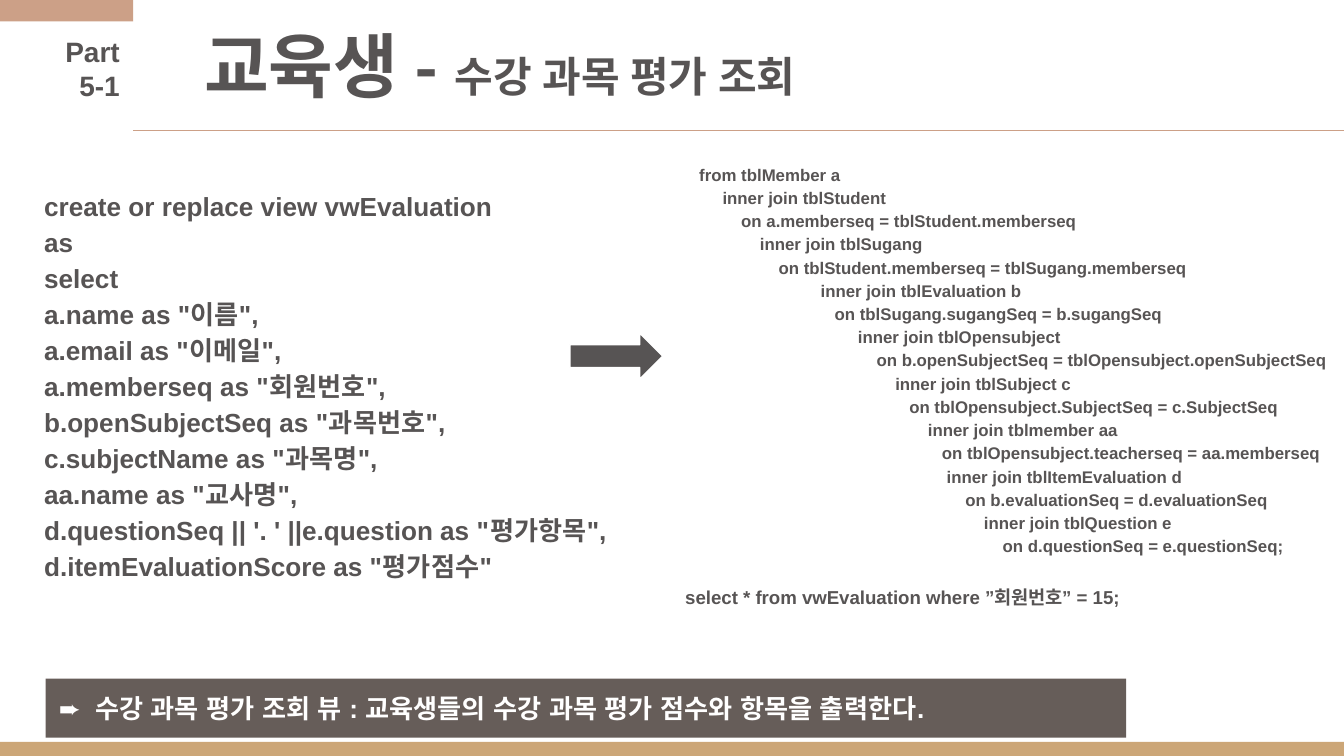
from lxml.etree import SubElement
from pptx import Presentation
from pptx.dml.color import RGBColor
from pptx.enum.shapes import MSO_CONNECTOR, MSO_SHAPE
from pptx.enum.text import MSO_ANCHOR, PP_ALIGN
from pptx.oxml.ns import qn
from pptx.util import Inches, Pt

INK, WHITE, ROSE, GOLD, BROWN = "575454", "FFFFFF", "CCA087", "CCA677", "665D59"

TITLE = [("교육생", 37.7), (" - ", 33.8), ("수강 과목 평가 조회", 22.5)]
PART = "Part 5-1"
SUMMARY = [("➨\t", "Open Sans"),
           ("수강 과목 평가 조회 뷰 : 교육생들의 수강 과목 평가 점수와 항목을 출력한다.", "Arial")]

VIEW_COLUMNS = [
    "create or replace view vwEvaluation",
    "as",
    "select",
    'a.name as "이름",',
    'a.email as "이메일",',
    'a.memberseq as "회원번호",',
    'b.openSubjectSeq as "과목번호",',
    'c.subjectName as "과목명",',
    'aa.name as "교사명",',
    "d.questionSeq || '. ' ||e.question as \"평가항목\",",
    'd.itemEvaluationScore as "평가점수"',
]

# (leading spaces, code)
JOINS = [
    (3, "from tblMember a"),
    (8, "inner join tblStudent"),
    (12, "on a.memberseq = tblStudent.memberseq"),
    (16, "inner join tblSugang"),
    (20, "on tblStudent.memberseq = tblSugang.memberseq"),
    (29, "inner join tblEvaluation b"),
    (32, "on tblSugang.sugangSeq = b.sugangSeq"),
    (37, "inner join tblOpensubject"),
    (41, "on b.openSubjectSeq = tblOpensubject.openSubjectSeq"),
    (45, "inner join tblSubject c"),
    (48, "on tblOpensubject.SubjectSeq = c.SubjectSeq"),
    (52, "inner join tblmember aa"),
    (55, "on tblOpensubject.teacherseq = aa.memberseq"),
    (56, "inner join tblItemEvaluation d"),
    (60, "on b.evaluationSeq = d.evaluationSeq"),
    (64, "inner join tblQuestion e"),
    (68, "on d.questionSeq = e.questionSeq;"),
]
QUERY = "select * from vwEvaluation where ”회원번호” = 15;"


def rgb(color):
    return RGBColor.from_string(color)


def add_block(kind, place, fill, outline=None):
    block = slide.shapes.add_shape(kind, *map(Inches, place))
    block.shadow.inherit = False
    block.fill.solid()
    block.fill.fore_color.rgb = rgb(fill)
    if outline:
        block.line.color.rgb = rgb(outline)
        block.line.width = Pt(0.75)
    else:
        block.line.fill.background()
    return block


def set_frame(frame, left_inset=0.1, anchor=MSO_ANCHOR.TOP):
    inset = Inches(0.1)
    layout = {"word_wrap": True, "vertical_anchor": anchor,
              "margin_left": Inches(left_inset), "margin_right": inset,
              "margin_top": inset, "margin_bottom": inset}
    for attribute, value in layout.items():
        setattr(frame, attribute, value)
    return frame


def add_frame(place, **layout):
    return set_frame(slide.shapes.add_textbox(*map(Inches, place)).text_frame, **layout)


def add_run(paragraph, text, size, color=INK, font="Arial"):
    run = paragraph.add_run()
    run.text = text
    run.font.color.rgb = rgb(color)
    for attribute, value in {"size": Pt(size), "name": font, "bold": True}.items():
        setattr(run.font, attribute, value)
    for script in ("a:ea", "a:cs"):
        SubElement(run._r.get_or_add_rPr(), qn(script), typeface=font)


def add_code(frame, lines, size):
    for number, line in enumerate(lines):
        paragraph = frame.add_paragraph() if number else frame.paragraphs[0]
        paragraph.line_spacing = 1.15
        add_run(paragraph, line, size)


prs = Presentation()
prs.slide_width, prs.slide_height = Inches(10), Inches(10) * 9 // 16
slide = prs.slides.add_slide(prs.slide_layouts[6])

add_block(MSO_SHAPE.RECTANGLE, (0, 5.52, 10, 0.11), GOLD)

add_code(add_frame((0.23, 1.28, 5.24, 3.32)), VIEW_COLUMNS, 14)

joins = add_frame((5, 1.1, 5.01, 3.95))
add_code(joins, [" " * indent + code for indent, code in JOINS], 9)
query = joins.add_paragraph()
query.line_spacing = 1.15
query.space_before = Pt(14)
add_run(query, QUERY, 10)

summary_bar = add_block(MSO_SHAPE.RECTANGLE, (0.34, 5.05, 8.04, 0.44), BROWN)
summary = set_frame(summary_bar.text_frame).paragraphs[0]
summary.alignment = PP_ALIGN.LEFT
tab_stops = SubElement(summary._p.get_or_add_pPr(), qn("a:tabLst"))
SubElement(tab_stops, qn("a:tab"), pos=str(Inches(0.27)), algn="l")
for text, font in SUMMARY:
    add_run(summary, text, 14, WHITE, font)

add_block(MSO_SHAPE.RIGHT_ARROW, (4.24, 2.48, 0.69, 0.34), INK, WHITE)
add_block(MSO_SHAPE.RECTANGLE, (0, 0, 0.99, 0.16), ROSE)

part = add_frame((0.23, 0.16, 0.76, 0.71)).paragraphs[0]
part.alignment = PP_ALIGN.RIGHT
add_run(part, PART, 15)

rule = slide.shapes.add_connector(
    MSO_CONNECTOR.STRAIGHT, *map(Inches, (0.99, 0.97, 10.02, 0.97)))
rule.line.color.rgb = rgb(ROSE)
rule.line.width = Pt(0.75)
SubElement(rule._element.spPr, qn("a:effectLst"))

title = add_frame((1.2, 0.3, 8.87, 0.59), left_inset=0.32,
                  anchor=MSO_ANCHOR.BOTTOM).paragraphs[0]
for text, size in TITLE:
    add_run(title, text, size, font="Roboto")

prs.save("out.pptx")
